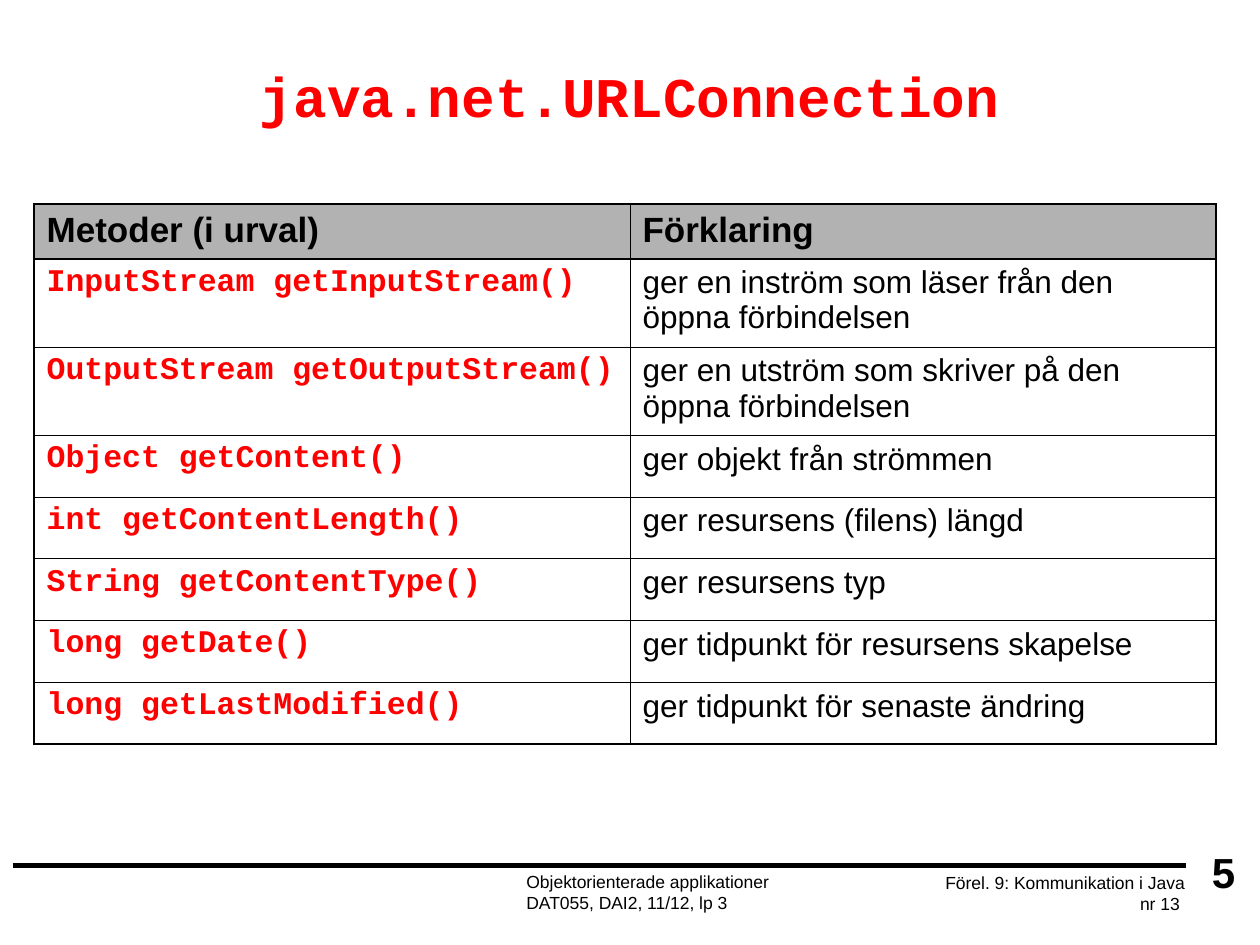
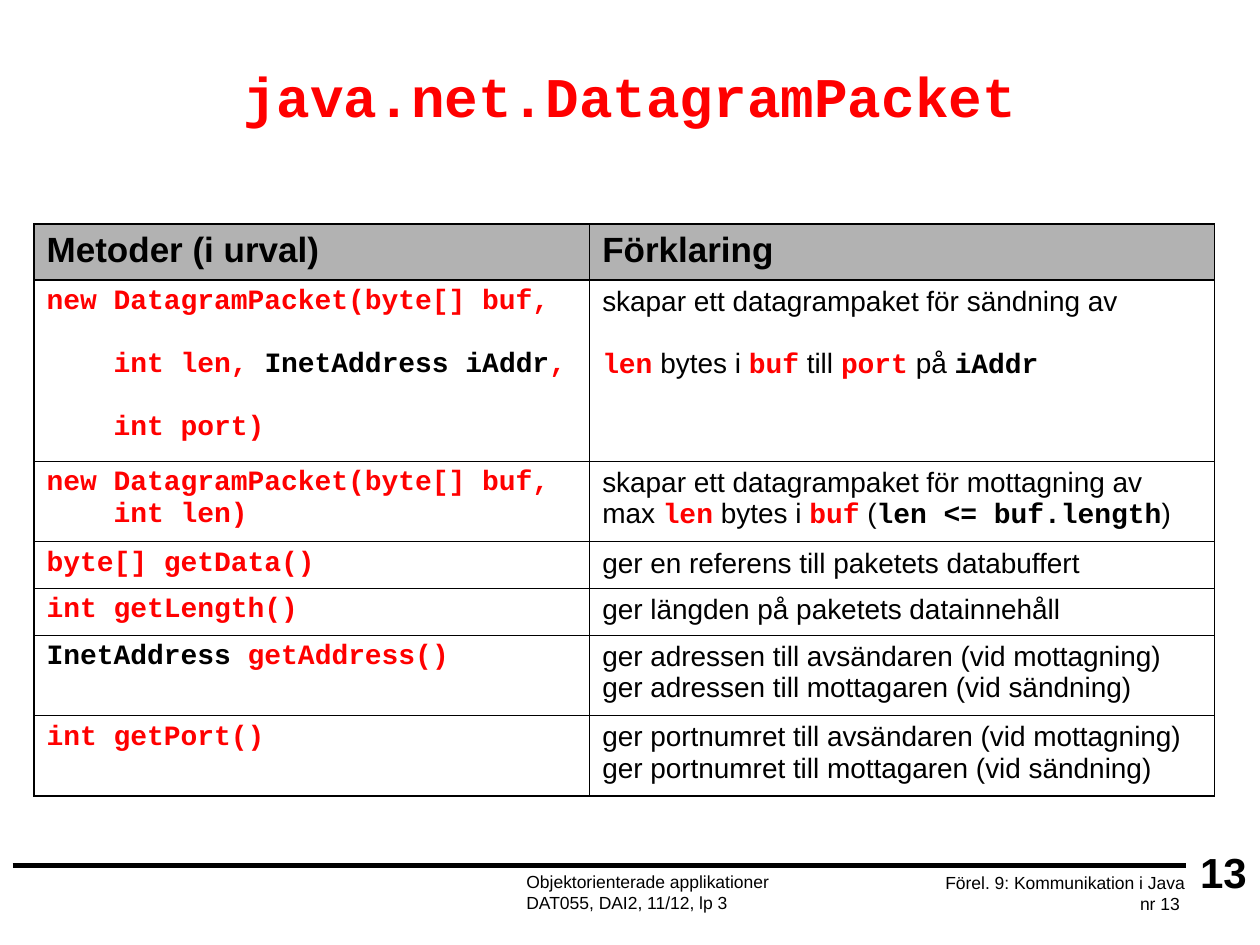
from dataclasses import dataclass, replace

from lxml import etree
from pptx import Presentation
from pptx import util as u
from pptx.dml import color
from pptx.enum import shapes, text
from pptx.oxml import ns

BLACK, RED, GREY = "000000", "FF0000", "B2B2B2"
THICK, THIN = 1.08, 0.45
TABLE_LEFT = 0.27


@dataclass(frozen=True)
class Style:
    font: str = "Arial"
    ink: str = BLACK
    bold: bool = False
    size: float = 18


PROSE = Style()
CODE = Style("Courier New", RED, True)
TYPE = replace(CODE, ink=BLACK)
HEADING = Style(bold=True, size=20)
TITLE = replace(CODE, size=32)
FOOTER = Style(size=10)
NUMBER = Style(bold=True, size=24)


@dataclass(frozen=True)
class Run:
    words: str
    style: Style


Line = list[Run]


@dataclass
class Method:
    signature: list[Line]
    meaning: list[Line]
    height: float
    line_gap: float = 0


@dataclass
class ClassPage:
    number: int
    name: str
    top: float
    columns: tuple[float, float]
    header_height: float
    size: float
    methods: list[Method]


@dataclass
class Label:
    box: tuple[float, float, float, float]
    lines: list[Line]
    align: text.PP_ALIGN = text.PP_ALIGN.LEFT
    spacing: float = 1.0


def lines(style: Style, *words: str) -> list[Line]:
    return [[Run(w, style)] for w in words]


def simple(signature: str, height: float, *meaning: str) -> Method:
    return Method(lines(CODE, signature), lines(PROSE, *meaning), height)


def rgb(value: str) -> color.RGBColor:
    return color.RGBColor.from_string(value)


def set_font(font, style: Style) -> None:
    font.name, font.size, font.bold = style.font, u.Pt(style.size), style.bold
    font.color.rgb = rgb(style.ink)


def write(frame, content: list[Line], align=text.PP_ALIGN.LEFT,
          spacing: float = 1.0, gap: float = 0) -> None:
    for index, line in enumerate(content):
        paragraph = frame.add_paragraph() if index else frame.paragraphs[0]
        paragraph.alignment = align
        paragraph.line_spacing = spacing
        if index and gap:
            paragraph.space_before = u.Pt(gap)
        uniform = len({run.style for run in line}) == 1
        if uniform:
            set_font(paragraph.font, line[0].style)
        for part in line:
            run = paragraph.add_run()
            run.text = part.words
            if not uniform:
                set_font(run.font, part.style)


def add_label(slide, label: Label) -> None:
    frame = slide.shapes.add_textbox(*map(u.Inches, label.box)).text_frame
    frame.word_wrap = True
    frame.vertical_anchor = text.MSO_ANCHOR.MIDDLE
    write(frame, label.lines, label.align, label.spacing)


def set_borders(cell, widths: dict[str, float]) -> None:
    properties = cell._tc.get_or_add_tcPr()
    for position, (side, width) in enumerate(widths.items()):
        border = etree.Element(ns.qn(f"a:ln{side}"), w=str(u.Pt(width)))
        fill = etree.SubElement(border, ns.qn("a:solidFill"))
        etree.SubElement(fill, ns.qn("a:srgbClr"), val=BLACK)
        properties.insert(position, border)


def add_methods(slide, page: ClassPage) -> None:
    header = Method(lines(HEADING, "Metoder (i urval)"),
                    lines(HEADING, "Förklaring"), page.header_height)
    rows = [header] + page.methods
    last = len(rows) - 1
    table = slide.shapes.add_table(
        len(rows), 2, u.Inches(TABLE_LEFT), u.Inches(page.top),
        u.Inches(sum(page.columns)), u.Inches(sum(r.height for r in rows))).table
    table.first_row = table.horz_banding = False
    for column, width in zip(table.columns, page.columns):
        column.width = u.Inches(width)
    for r, row in enumerate(rows):
        table.rows[r].height = u.Inches(row.height)
        for c, content in enumerate((row.signature, row.meaning)):
            cell = table.cell(r, c)
            if r == 0:
                cell.fill.solid()
                cell.fill.fore_color.rgb = rgb(GREY)
            else:
                cell.fill.background()
                content = [[Run(p.words, replace(p.style, size=page.size))
                            for p in line] for line in content]
            write(cell.text_frame, content, gap=row.line_gap)
            set_borders(cell, {
                "L": THIN if c else THICK,
                "R": THICK if c else THIN,
                "T": THICK if r < 2 else THIN,
                "B": THICK if r in (0, last) else THIN,
            })


def add_frame(slide, page: ClassPage) -> None:
    """Footer rule, footer texts, title and page number."""
    rule = slide.shapes.add_connector(
        shapes.MSO_CONNECTOR.STRAIGHT, u.Inches(0.1), u.Inches(6.87),
        u.Inches(9.41), u.Inches(6.87))
    rule.line.color.rgb = rgb(BLACK)
    rule.line.width = u.Pt(3)
    etree.SubElement(rule._element.spPr, ns.qn("a:effectLst"))
    for label in (
        Label((4.08, 6.83, 2.67, 0.5), lines(
            FOOTER, "Objektorienterade applikationer", "DAT055, DAI2, 11/12, lp 3")),
        Label((6.83, 6.84, 2.67, 0.5), lines(
            FOOTER, "Förel. 9: Kommunikation i Java", "nr 13 "), text.PP_ALIGN.RIGHT),
        Label((0, 0.33, 10, 0.75), lines(TITLE, page.name),
              text.PP_ALIGN.CENTER, 1.2),
        Label((9.42, 6.67, 0.58, 0.5), lines(NUMBER, str(page.number)),
              text.PP_ALIGN.CENTER),
    ):
        add_label(slide, label)


URL_CONNECTION = ClassPage(
    5, "java.net.URLConnection", 1.62, (4.73, 4.65), 0.43, 18, [
        simple("InputStream getInputStream()", 0.7,
               "ger en inström som läser från den öppna förbindelsen"),
        simple("OutputStream getOutputStream()", 0.7,
               "ger en utström som skriver på den öppna förbindelsen"),
        simple("Object getContent()", 0.49, "ger objekt från strömmen"),
        simple("int getContentLength()", 0.49, "ger resursens (filens) längd"),
        simple("String getContentType()", 0.49, "ger resursens typ"),
        simple("long getDate()", 0.49, "ger tidpunkt för resursens skapelse"),
        simple("long getLastModified()", 0.49, "ger tidpunkt för senaste ändring"),
    ])

DATAGRAM_PACKET = ClassPage(
    13, "java.net.DatagramPacket", 1.78, (4.41, 4.96), 0.44, 16, [
        Method(
            [[Run("new DatagramPacket(byte[] buf,", CODE)],
             [Run("    int len, ", CODE), Run("InetAddress iAddr", TYPE),
              Run(",", CODE)],
             [Run("    int port)", CODE)]],
            [[Run("skapar ett datagrampaket för sändning av", PROSE)],
             [Run("len", CODE), Run(" bytes i ", PROSE), Run("buf", CODE),
              Run(" till ", PROSE), Run("port", CODE), Run(" på ", PROSE),
              Run("iAddr", TYPE)]],
            1.44, line_gap=18),
        Method(
            lines(CODE, "new DatagramPacket(byte[] buf,", "    int len)"),
            [[Run("skapar ett datagrampaket för mottagning av", PROSE)],
             [Run("max ", PROSE), Run("len", CODE), Run(" bytes i ", PROSE),
              Run("buf", CODE), Run(" (", PROSE),
              Run("len <= buf.length", TYPE), Run(")", PROSE)]],
            0.64),
        simple("byte[] getData()", 0.37, "ger en referens till paketets databuffert"),
        simple("int getLength()", 0.37, "ger längden på paketets datainnehåll"),
        Method(
            [[Run("InetAddress", TYPE), Run(" getAddress()", CODE)]],
            lines(PROSE, "ger adressen till avsändaren (vid mottagning)",
                  "ger adressen till mottagaren (vid sändning)"),
            0.64),
        simple("int getPort()", 0.64,
               "ger portnumret till avsändaren (vid mottagning)",
               "ger portnumret till mottagaren (vid sändning)"),
    ])


def main() -> None:
    deck = Presentation()
    deck.slide_width, deck.slide_height = u.Inches(10), u.Inches(7.5)
    for page in (URL_CONNECTION, DATAGRAM_PACKET):
        slide = deck.slides.add_slide(deck.slide_layouts[6])
        add_frame(slide, page)
        add_methods(slide, page)
    deck.save("out.pptx")


if __name__ == "__main__":
    main()
